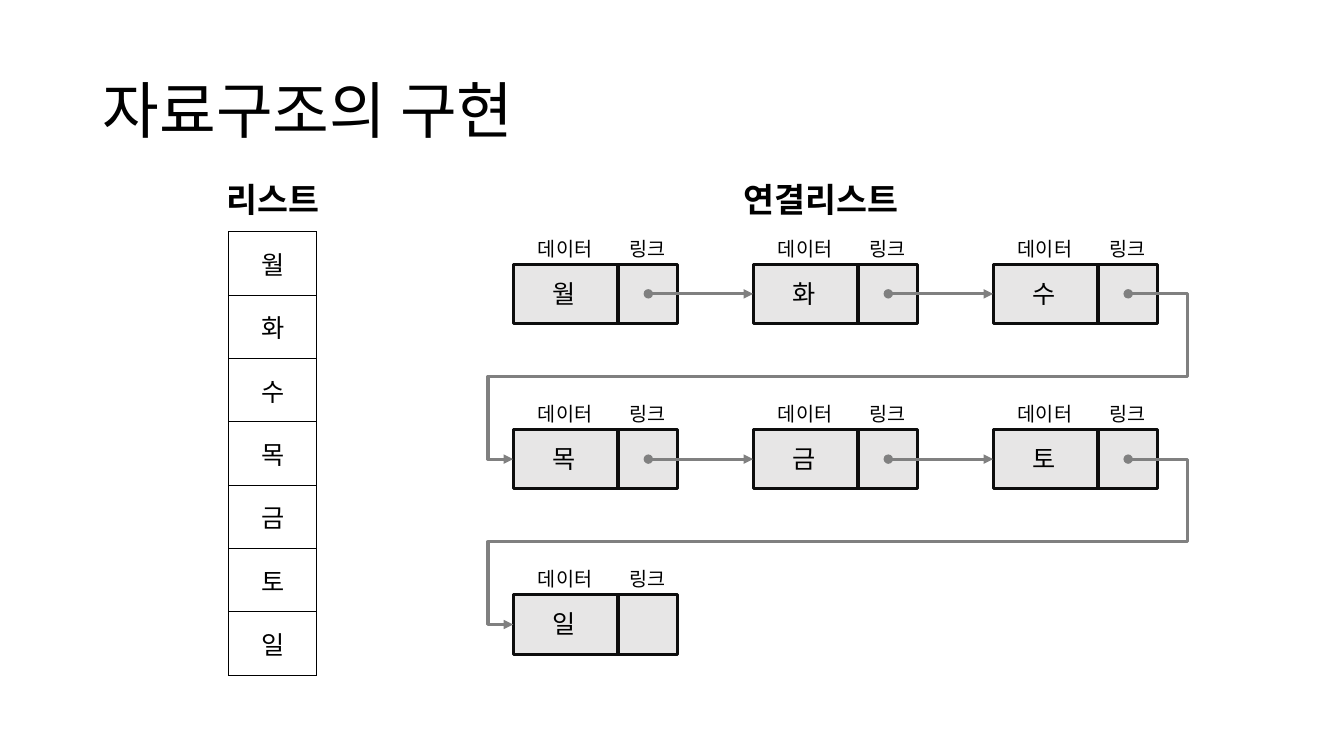
import pptx
import pptx.util
import pptx.dml.color
import pptx.enum.shapes
import pptx.enum.text
import pptx.oxml
import pptx.oxml.ns
from lxml import etree

Inches = pptx.util.Inches
Pt = pptx.util.Pt
Align = pptx.enum.text.PP_ALIGN
Anchor = pptx.enum.text.MSO_ANCHOR
Fit = pptx.enum.text.MSO_AUTO_SIZE
Kind = pptx.enum.shapes.MSO_CONNECTOR
qn = pptx.oxml.ns.qn

HUES = {"text": "000000", "cell": "FFFFFF", "node": "E7E6E6", "edge": "0D0D0D", "link": "808080"}
FONT = "Noto Sans CJK KR"
DAYS = "월화수목금토일"
LEFT, TOP, STEP, DROP, SIDE = 5.09, 2.62, 2.38, 1.64, 0.59
COLS = 3


def color(name):
    return pptx.dml.color.RGBColor.from_string(HUES[name])


def write(frame, text, size=18, bold=False, align=Align.CENTER):
    para = frame.paragraphs[0]
    para.alignment = align
    run = para.add_run()
    run.text = text
    font = run.font
    font.size, font.bold, font.name = Pt(size), bold, FONT
    font.color.rgb = color("text")
    east = etree.SubElement(font._element, qn("a:ea"))
    east.set("typeface", FONT)
    return para


class Deck:
    """Hold the style and the current slide, and draw its elements."""

    def __init__(self):
        self.show = pptx.Presentation()
        self.show.slide_width = Inches(13.33)
        self.show.slide_height = Inches(7.5)
        self.slide = self.show.slides.add_slide(self.show.slide_layouts[5])

    def title(self, text):
        head = self.slide.shapes.title
        head.left, head.top = Inches(0.92), Inches(0.4)
        head.width, head.height = Inches(11.5), Inches(1.45)
        frame = head.text_frame
        frame.auto_size = Fit.NONE
        frame.vertical_anchor = Anchor.MIDDLE
        write(frame, text, size=44, align=Align.LEFT).line_spacing = 0.9

    def label(self, shapes, text, x, y, w, h, **style):
        box = shapes.add_textbox(Inches(x), Inches(y), Inches(w), Inches(h))
        box.text_frame.word_wrap = False
        box.text_frame.auto_size = Fit.SHAPE_TO_FIT_TEXT
        write(box.text_frame, text, **style)

    def table(self, items, x, y, w, h):
        count = len(items)
        shape = self.slide.shapes.add_table(count, 1, Inches(x), Inches(y), Inches(w), Inches(h))
        grid = shape.table
        grid.first_row = grid.horz_banding = False
        for row, item in enumerate(items):
            cell = grid.cell(row, 0)
            props = cell._tc.get_or_add_tcPr()
            for tag in ("a:lnL", "a:lnR", "a:lnT", "a:lnB"):
                line = etree.SubElement(props, qn(tag), w=str(Pt(1)))
                fill = etree.SubElement(line, qn("a:solidFill"))
                etree.SubElement(fill, qn("a:srgbClr"), val=HUES["text"])
            cell.fill.solid()
            cell.fill.fore_color.rgb = color("cell")
            cell.vertical_anchor = Anchor.MIDDLE
            write(cell.text_frame, item)

    def rect(self, shapes, x, y, w, h):
        kind = pptx.enum.shapes.MSO_SHAPE.RECTANGLE
        box = shapes.add_shape(kind, Inches(x), Inches(y), Inches(w), Inches(h))
        box.shadow.inherit = False
        box.fill.solid()
        box.fill.fore_color.rgb = color("node")
        box.line.color.rgb = color("edge")
        box.line.width = Pt(2.25)

    def node(self, day, x, y):
        shapes = self.slide.shapes.add_group_shape().shapes
        self.rect(shapes, x, y, 1.34, SIDE)
        self.rect(shapes, x + 1.04, y, SIDE, SIDE)
        self.label(shapes, day, x + 0.29, y + 0.09, 0.45, 0.4, align=Align.LEFT)
        self.label(shapes, "데이터", x + 0.12, y - 0.32, 0.79, 0.34, size=14)
        self.label(shapes, "링크", x + 1.04, y - 0.32, 0.59, 0.34, size=14)

    def arrow(self, start, end, bends=()):
        kind = Kind.ELBOW if bends else Kind.STRAIGHT
        points = [Inches(value) for value in (*start, *end)]
        link = self.slide.shapes.add_connector(kind, *points)
        link.line.color.rgb = color("link")
        link.line.width = Pt(2.25)
        line = link.line._get_or_add_ln()
        etree.SubElement(line, qn("a:headEnd"), type="oval")
        etree.SubElement(line, qn("a:tailEnd"), type="triangle")
        props = link._element.spPr
        etree.SubElement(props, qn("a:effectLst"))
        if bends:
            shape = props.find(qn("a:prstGeom"))
            shape.set("prst", "bentConnector5")
            guides = shape.find(qn("a:avLst"))
            if guides is None:
                guides = etree.SubElement(shape, qn("a:avLst"))
            for spot, bend in enumerate(bends, 1):
                etree.SubElement(guides, qn("a:gd"), name=f"adj{spot}", fmla=f"val {bend}")


def main():
    deck = Deck()
    deck.title("자료구조의 구현")
    deck.table(DAYS, 2.27, 2.3, 0.87, 4.4)
    spots = [(LEFT + i % COLS * STEP, TOP + i // COLS * DROP) for i in range(len(DAYS))]
    for day, spot in zip(DAYS, spots):
        deck.node(day, *spot)
    for (x, y), (nx, ny) in zip(spots, spots[1:]):
        bends = (-9600, 50000, 104100) if ny > y else ()
        deck.arrow((x + 1.34, y + SIDE / 2), (nx, ny + SIDE / 2), bends)
    for text, x, w in (("리스트", 2.1, 1.21), ("연결리스트", 7.2, 1.88)):
        deck.label(deck.slide.shapes, text, x, 1.73, w, 0.5, size=24, bold=True)
    deck.show.save("out.pptx")


if __name__ == "__main__":
    main()
